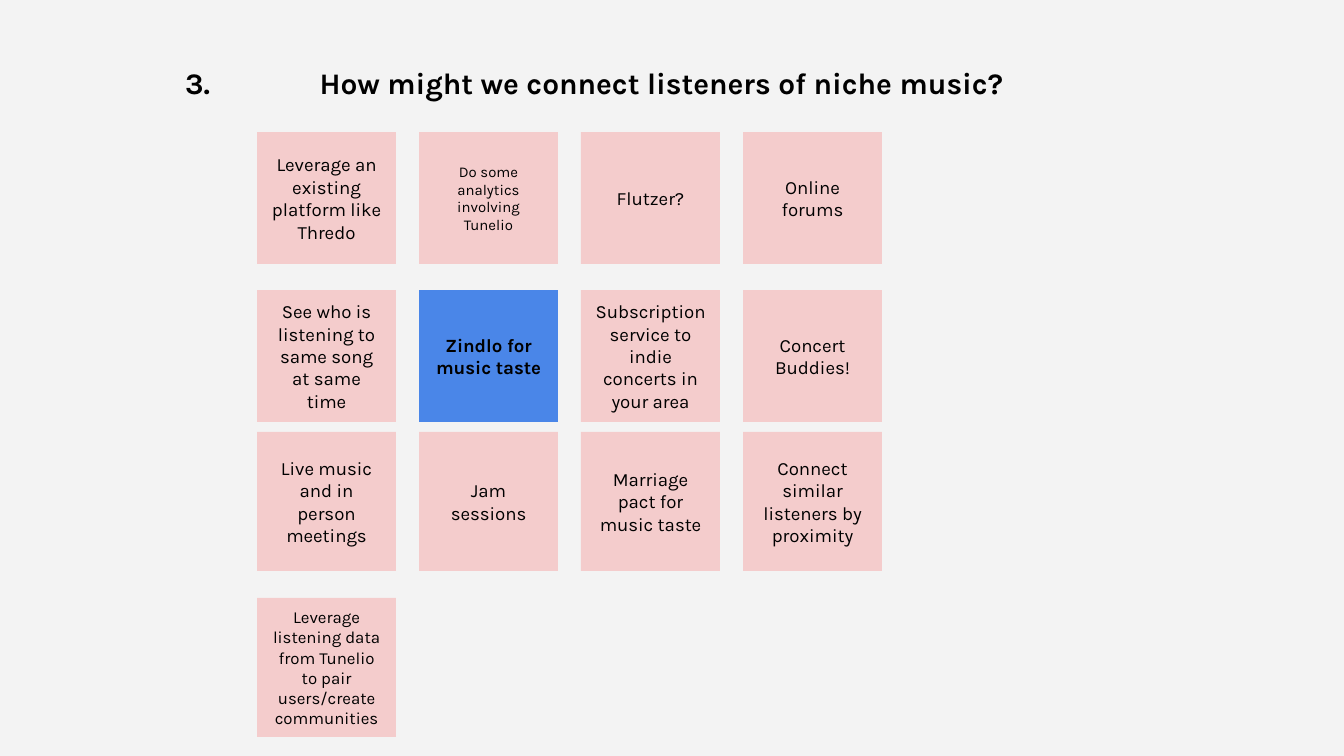
from pptx import Presentation
from pptx import util as u
from pptx.dml.color import RGBColor
from pptx.enum import shapes, text

EMU_PER_PX = 914400 / 134.4
FONT = "Karla"
COLORS = {"background": "F3F3F3", "idea": "F4CCCC", "chosen": "4A86E8", "ink": "000000"}
NOTE_LEFT, NOTE_PITCH, NOTE_WIDTH = 257, 162, 139
INSET = 14
CHOSEN_IDEA = "Zindlo for music taste"
SMALLER_SIZES = {
    "Do some analytics involving Tunelio": 8,
    "Leverage listening data from Tunelio to pair users/create communities": 9,
}
IDEA_ROWS = [
    (132, 132, ["Leverage an existing platform like Thredo",
                "Do some analytics involving Tunelio",
                "Flutzer?",
                "Online forums"]),
    (290, 132, ["See who is listening to same song at same time",
                CHOSEN_IDEA,
                "Subscription service to indie concerts in your area",
                "Concert Buddies!"]),
    (432, 139, ["Live music and in person meetings",
                "Jam sessions",
                "Marriage pact for music taste",
                "Connect similar listeners by proximity"]),
    (598, 139, ["Leverage listening data from Tunelio to pair users/create communities"]),
]


def px(length):
    return u.Emu(round(length * EMU_PER_PX))


def color(name):
    return RGBColor.from_string(COLORS[name])


def write(frame, wording, size, bold):
    frame.word_wrap = True
    frame.margin_left = frame.margin_right = px(INSET)
    frame.margin_top = frame.margin_bottom = px(INSET)
    frame.text = wording
    paragraph = frame.paragraphs[0]
    for run in paragraph.runs:
        run.font.name = FONT
        run.font.size = u.Pt(size)
        run.font.bold = bold
        run.font.color.rgb = color("ink")
    return paragraph


def add_question(slide, wording):
    question = slide.shapes.add_textbox(px(104), px(33), px(978), px(118))
    paragraph = write(question.text_frame, wording, 16, True)
    question.text_frame.auto_size = text.MSO_AUTO_SIZE.SHAPE_TO_FIT_TEXT
    paragraph.line_spacing = 1.5
    properties = paragraph._p.get_or_add_pPr()
    properties.set("marL", str(u.Inches(0.5)))
    properties.set("indent", "0")
    properties.set("defTabSz", str(u.Inches(1)))


def add_note(slide, left, top, height, idea):
    chosen = idea == CHOSEN_IDEA
    note = slide.shapes.add_shape(shapes.MSO_SHAPE.RECTANGLE,
                                  px(left), px(top), px(NOTE_WIDTH), px(height))
    note.shadow.inherit = False
    note.fill.solid()
    note.fill.fore_color.rgb = color("chosen" if chosen else "idea")
    note.line.fill.background()
    paragraph = write(note.text_frame, idea, SMALLER_SIZES.get(idea, 10), chosen)
    paragraph.alignment = text.PP_ALIGN.CENTER
    note.text_frame.vertical_anchor = text.MSO_ANCHOR.MIDDLE


def main():
    deck = Presentation()
    deck.slide_width, deck.slide_height = px(1344), px(756)
    slide = deck.slides.add_slide(deck.slide_layouts[6])
    slide.background.fill.solid()
    slide.background.fill.fore_color.rgb = color("background")
    for top, height, ideas in IDEA_ROWS:
        for column, idea in enumerate(ideas):
            add_note(slide, NOTE_LEFT + column * NOTE_PITCH, top, height, idea)
    add_question(slide, "3. \tHow might we connect listeners of niche music?")
    deck.save("out.pptx")


if __name__ == "__main__":
    main()
